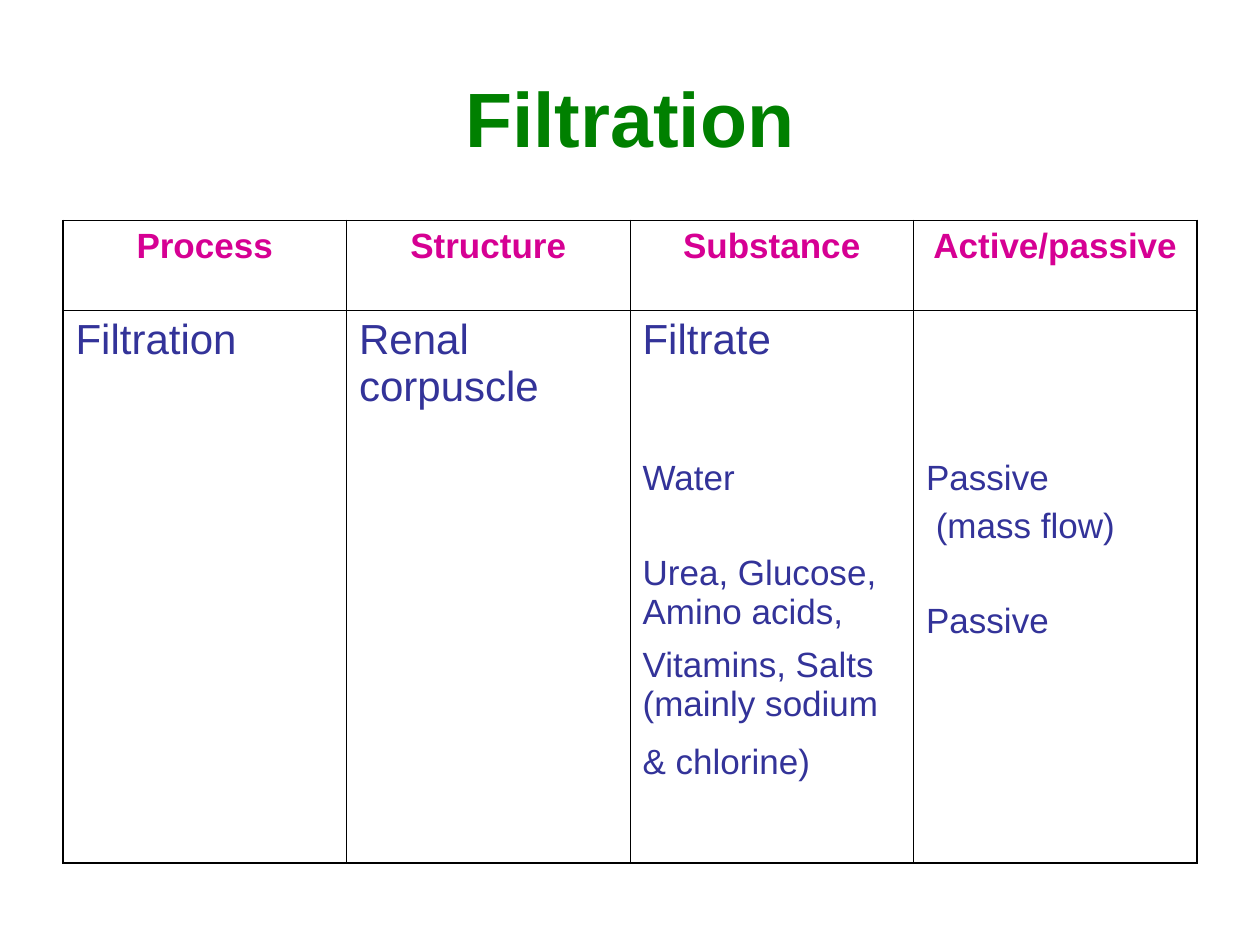
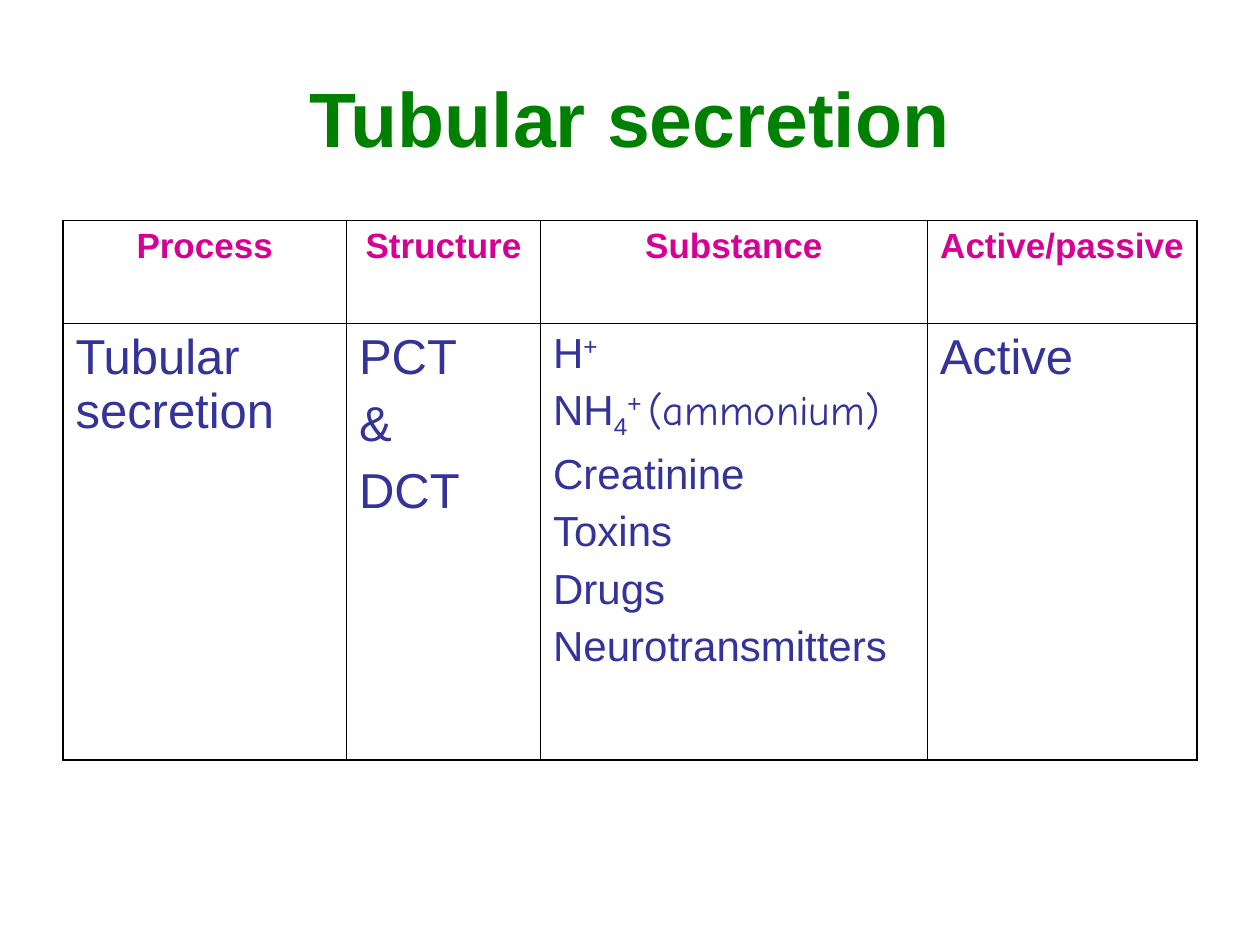
from lxml import etree
from pptx import Presentation
from pptx.dml.color import RGBColor
from pptx.enum import text
from pptx.oxml import ns
from pptx.util import Inches, Pt

# Shared look
FONT = "Arial"
TITLE_COLOUR = "008000"
HEADER_COLOUR = "D60093"
BODY_COLOUR = "333399"
BORDER_COLOUR = "000000"
OUTER, INNER, NONE = 1.08, 0.45, 0
HEADINGS = ["Process", "Structure", "Substance", "Active/passive"]
SUPERSCRIPT, SUBSCRIPT = 30000, -25000


def rgb(hex_colour):
    return RGBColor.from_string(hex_colour)


def style(paragraph, size, colour, bold=False, centred=False):
    if centred:
        paragraph.alignment = text.PP_ALIGN.CENTER
    font = paragraph.font
    font.name, font.size, font.bold = FONT, Pt(size), bold
    font.color.rgb = rgb(colour)


def add_title(slide, wording):
    box = slide.shapes.add_textbox(Inches(0.5), Inches(0.3), Inches(9), Inches(1.25))
    frame = box.text_frame
    frame.word_wrap = True
    frame.vertical_anchor = text.MSO_ANCHOR.MIDDLE
    frame.text = wording
    style(frame.paragraphs[0], 44, TITLE_COLOUR, bold=True, centred=True)


def add_run(paragraph, wording, baseline=0, font=None):
    run = paragraph.add_run()
    run.text = wording
    if baseline:
        run.font._element.set("baseline", str(baseline))
    if font:
        run.font.name = font


def fill_cell(cell, lines, size):
    """A line is a string, a list of run tuples, or (line, space before)."""
    frame = cell.text_frame
    for index, line in enumerate(lines):
        paragraph = frame.paragraphs[0] if index == 0 else frame.add_paragraph()
        before = size / 4
        if isinstance(line, tuple):
            line, before = line
        if index:
            paragraph.space_before = Pt(before)
        style(paragraph, size, BODY_COLOUR)
        for run in [(line,)] if isinstance(line, str) else line:
            add_run(paragraph, *run)


def set_border(cell, side, width):
    properties = cell._tc.get_or_add_tcPr()
    line = etree.SubElement(properties, ns.qn(f"a:ln{side}"), w=str(int(Pt(width))))
    if width == NONE:
        etree.SubElement(line, ns.qn("a:noFill"))
    else:
        fill = etree.SubElement(line, ns.qn("a:solidFill"))
        etree.SubElement(fill, ns.qn("a:srgbClr"), val=BORDER_COLOUR)


def add_process_table(slide, widths, heights, body):
    """Body rows hold (lines, size) per cell, with rules only below the headings."""
    table = slide.shapes.add_table(
        len(heights), len(widths), Inches(0.5), Inches(1.75),
        Inches(sum(widths)), Inches(sum(heights))).table
    table.first_row = table.horz_banding = False
    for column, width in zip(table.columns, widths):
        column.width = Inches(width)
    for row, height in zip(table.rows, heights):
        row.height = Inches(height)

    # Borders and clear fills
    last_row, last_column = len(heights) - 1, len(widths) - 1
    for r, row in enumerate(table.rows):
        for c, cell in enumerate(row.cells):
            set_border(cell, "L", OUTER if c == 0 else INNER)
            set_border(cell, "R", OUTER if c == last_column else INNER)
            set_border(cell, "T", {0: OUTER, 1: INNER}.get(r, NONE))
            set_border(cell, "B", OUTER if r == last_row else INNER if r == 0 else NONE)
            cell.fill.background()

    # Headings and content
    for c, heading in enumerate(HEADINGS):
        cell = table.cell(0, c)
        cell.text = heading
        style(cell.text_frame.paragraphs[0], 20, HEADER_COLOUR, bold=True, centred=True)
    for r, contents in enumerate(body, start=1):
        for c, (lines, size) in enumerate(contents):
            fill_cell(table.cell(r, c), lines, size)


def add_process_slide(deck, title, widths, heights, body):
    slide = deck.slides.add_slide(deck.slide_layouts[6])
    add_title(slide, title)
    add_process_table(slide, widths, heights, body)


def main():
    deck = Presentation()
    deck.slide_width, deck.slide_height = Inches(10), Inches(7.5)
    empty = ([], 20)

    # Filtration
    filtered = ["Water", ("Urea, Glucose, Amino acids,", 32),
                ("Vitamins, Salts (mainly sodium", 8), ("& chlorine)", 11)]
    transport = ["Passive", " (mass flow)", ("Passive", 32)]
    add_process_slide(
        deck, "Filtration", [2.25] * 4, [0.71, 1.13, 3.26],
        [[(["Filtration"], 24), (["Renal corpuscle"], 24), (["Filtrate"], 24), empty],
         [empty, empty, (filtered, 20), (transport, 20)]])

    # Tubular secretion
    hydrogen = [("H",), ("+", SUPERSCRIPT)]
    ammonium = [("NH",), ("4", SUBSCRIPT), ("+ ", SUPERSCRIPT),
                ("(ammonium)", 0, "Comic Neue")]
    secreted = [hydrogen, ammonium, "Creatinine", "Toxins", "Drugs", "Neurotransmitters"]
    add_process_slide(
        deck, "Tubular secretion", [2.25, 1.54, 3.07, 2.14], [0.82, 3.46],
        [[(["Tubular secretion"], 28), (["PCT", "&", "DCT"], 28),
          (secreted, 24), (["Active"], 28)]])

    deck.save("out.pptx")


if __name__ == "__main__":
    main()
